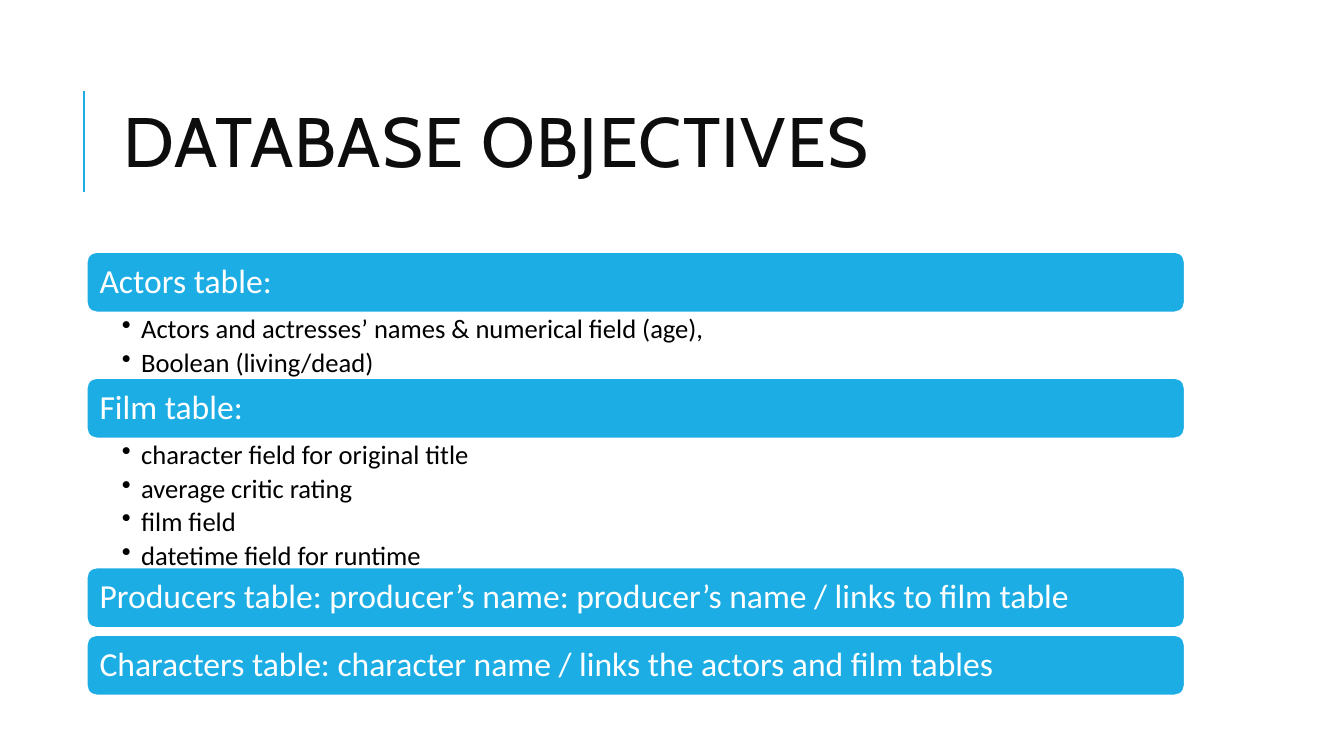
from lxml import etree
from pptx import Presentation
from pptx.dml.color import RGBColor
from pptx.enum import shapes, text
from pptx.oxml import ns
from pptx.util import Inches, Pt

COLOURS = {"accent": "1CADE4", "title": "0D0D0D", "body": "000000", "white": "FFFFFF"}
LEFT, WIDTH, BAR_HEIGHT = 0.86, 10.89, 0.6
FIRST_TOP = 2.5
SECTIONS = [
    ("Actors table:", 0.65, [
        "Actors and actresses’ names & numerical field (age),",
        "Boolean (living/dead)",
    ]),
    ("Film table:", 1.28, [
        "character field for original title",
        "average critic rating",
        "film field",
        "datetime field for runtime",
    ]),
    ("Producers table: producer’s name: producer’s name / links to film table", 0.07, []),
    ("Characters table: character name / links the actors and film tables", 0, []),
]


def colour(name):
    return RGBColor.from_string(COLOURS[name])


def format_paragraph(paragraph, font, size, colour_name, spacing):
    paragraph.alignment = text.PP_ALIGN.LEFT
    paragraph.line_spacing = spacing
    for run in paragraph.runs:
        run.font.name = font
        run.font.size = Pt(size)
        run.font.color.rgb = colour(colour_name)


def set_insets(frame, left, top, right, bottom):
    frame.margin_left, frame.margin_top = Inches(left), Inches(top)
    frame.margin_right, frame.margin_bottom = Inches(right), Inches(bottom)


def add_bullet(paragraph):
    properties = paragraph._p.get_or_add_pPr()
    properties.set("marL", str(Inches(0.19)))
    properties.set("indent", str(Inches(-0.19)))
    etree.SubElement(properties, ns.qn("a:buChar")).set("char", "•")


def add_accent_line(slide):
    line = slide.shapes.add_connector(
        shapes.MSO_CONNECTOR.STRAIGHT, Inches(0.83), Inches(1.9), Inches(0.83), Inches(0.9))
    line.line.color.rgb = colour("accent")
    line.line.width = Pt(1.5)
    etree.SubElement(line._element.spPr, ns.qn("a:effectLst"))


def set_title(slide, title):
    shape = slide.shapes.title
    shape.left, shape.top = Inches(1.12), Inches(0.64)
    shape.width, shape.height = Inches(10.63), Inches(1.64)
    frame = shape.text_frame
    frame.text = title
    frame.auto_size = text.MSO_AUTO_SIZE.NONE
    frame.vertical_anchor = text.MSO_ANCHOR.MIDDLE
    paragraph = frame.paragraphs[0]
    format_paragraph(paragraph, "Cabin", 50, "title", 0.8)
    paragraph.runs[0].font._element.set("spc", "100")


def add_bar(slide, top, heading):
    bar = slide.shapes.add_shape(
        shapes.MSO_SHAPE.ROUNDED_RECTANGLE,
        Inches(LEFT), Inches(top), Inches(WIDTH), Inches(BAR_HEIGHT))
    bar.shadow.inherit = False
    bar.fill.solid()
    bar.fill.fore_color.rgb = colour("accent")
    bar.line.color.rgb = colour("white")
    bar.line.width = Pt(1.25)
    frame = bar.text_frame
    frame.text = heading
    frame.word_wrap = True
    frame.vertical_anchor = text.MSO_ANCHOR.MIDDLE
    set_insets(frame, 0.1, 0.1, 0.1, 0.1)
    format_paragraph(frame.paragraphs[0], "Calibri", 24, "white", 0.9)


def add_list(slide, top, height, items):
    box = slide.shapes.add_textbox(Inches(LEFT), Inches(top), Inches(WIDTH), Inches(height))
    frame = box.text_frame
    frame.text = "\n".join(items)
    frame.word_wrap = True
    set_insets(frame, 0.35, 0.03, 0.19, 0.03)
    for paragraph in frame.paragraphs:
        format_paragraph(paragraph, "Calibri", 19, "body", 0.9)
        paragraph.space_after = Pt(3.5)
        add_bullet(paragraph)


def main():
    presentation = Presentation()
    presentation.slide_width, presentation.slide_height = Inches(13.33), Inches(7.5)
    slide = presentation.slides.add_slide(presentation.slide_layouts[5])
    add_accent_line(slide)
    set_title(slide, "DATABASE OBJECTIVES")
    top = FIRST_TOP
    for heading, space_below, items in SECTIONS:
        add_bar(slide, top, heading)
        top += BAR_HEIGHT
        if items:
            add_list(slide, top, space_below, items)
        top += space_below
    presentation.save("out.pptx")


if __name__ == "__main__":
    main()
